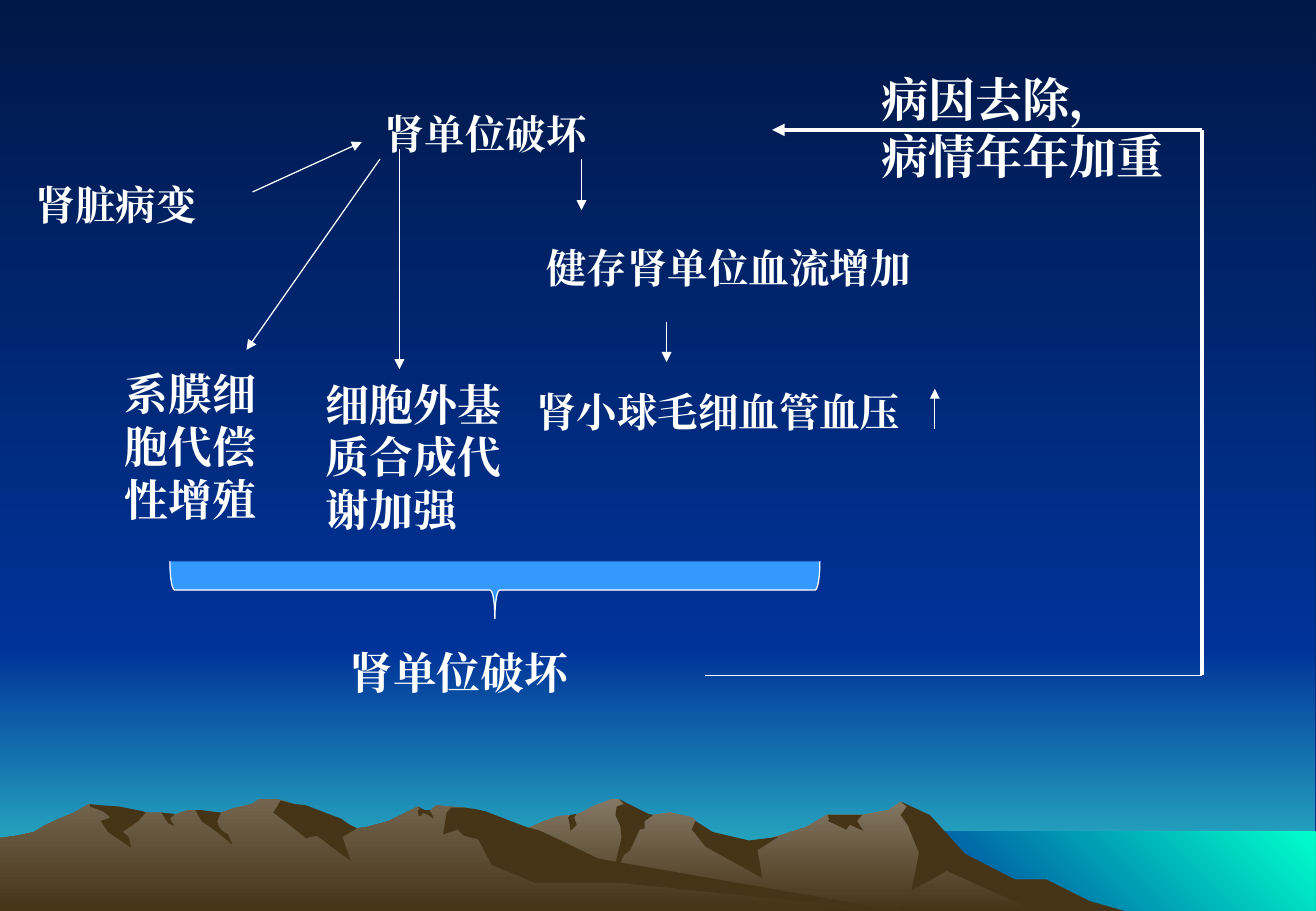
from lxml.etree import SubElement
from pptx import Presentation
from pptx.dml.color import RGBColor
from pptx.enum.shapes import MSO_CONNECTOR, MSO_SHAPE
from pptx.oxml.ns import qn
from pptx.util import Pt

WHITE = RGBColor(0xFF, 0xFF, 0xFF)
NIGHT = RGBColor(0x00, 0x18, 0x47)
BLUE = RGBColor(0x00, 0x33, 0x99)
TEAL = RGBColor(0x33, 0xCC, 0xCC)
AQUA = RGBColor(0x00, 0xFF, 0xCC)
BRACE_BLUE = RGBColor(0x33, 0x99, 0xFF)
DARK_ROCK = RGBColor(0x46, 0x34, 0x16)
LIGHT_ROCK = RGBColor(0x84, 0x78, 0x64)
MIDDLE_ROCK = RGBColor(0x73, 0x65, 0x4F)

FONT = "Times New Roman"
DOWNWARD = 270
TO_UPPER_RIGHT = 45
OUTLINE_UNIT = Pt(0.72)

PANELS = [
    (0, 384, 780, 156, (BLUE, TEAL), DOWNWARD),
    (0, 0, 780, 384, (NIGHT, BLUE), DOWNWARD),
    (533, 493, 247, 47, (BLUE, AQUA), TO_UPPER_RIGHT),
]

RIGHT_RIDGE = [
    (869, 740), (843, 727), (827, 723), (783, 698), (760, 671), (742, 660), (732, 667),
    (710, 671), (681, 671), (664, 681), (614, 697), (581, 690), (573, 676), (570, 673),
    (552, 669), (538, 671), (526, 673), (514, 661), (510, 658), (503, 658), (488, 664),
    (481, 668), (474, 671), (460, 672), (446, 677), (433, 683), (427, 685), (384, 698),
    (354, 709), (300, 739), (280, 751), (889, 751),
]
RIGHT_SHADOWS = [
    [(862, 724), (836, 724), (795, 703), (766, 671), (742, 660), (747, 664), (742, 671),
     (748, 680), (757, 702), (751, 733), (780, 717), (858, 752), (930, 751), (898, 742)],
    [(510, 658), (514, 662), (508, 664), (507, 671), (511, 680), (512, 690), (503, 727),
     (514, 704), (519, 700), (527, 683), (531, 682), (531, 676), (538, 671), (534, 670)],
    [(573, 676), (572, 678), (570, 683), (581, 697), (628, 723), (624, 700), (641, 689),
     (617, 692), (587, 685)],
    [(704, 671), (682, 671), (683, 675), (682, 676), (697, 683), (700, 679), (711, 684),
     (706, 676), (710, 671)],
    [(469, 677), (468, 673), (470, 671), (475, 670), (473, 673), (475, 679), (470, 684)],
]
LEFT_RIDGE = [
    (748, 751), (723, 748), (468, 712), (383, 665), (359, 663), (354, 668), (350, 668),
    (344, 664), (320, 676), (302, 681), (294, 682), (281, 676), (255, 681), (242, 663),
    (237, 660), (229, 658), (213, 658), (207, 662), (194, 665), (182, 669), (173, 671),
    (161, 667), (155, 667), (143, 671), (138, 671), (133, 669), (120, 669), (102, 671),
    (73, 662), (61, 669), (49, 674), (38, 679), (28, 685), (15, 688), (0, 690), (0, 751),
]
LEFT_SHADOWS = [
    [(229, 663), (225, 669), (237, 678), (252, 690), (261, 688), (289, 709), (282, 689),
     (294, 682), (288, 679), (281, 674), (265, 668), (252, 663), (243, 662), (231, 659)],
    [(400, 668), (391, 666), (383, 665), (372, 665), (368, 669), (365, 687), (377, 683),
     (382, 688), (394, 691), (405, 712), (441, 727), (512, 727), (748, 751), (740, 750),
     (493, 707), (462, 692), (445, 684), (434, 681), (418, 675)],
    [(344, 667), (346, 666), (344, 664), (350, 667), (354, 667), (357, 673), (357, 674),
     (353, 671), (348, 669), (348, 671), (345, 672)],
    [(166, 667), (174, 668), (182, 669), (179, 676), (180, 680), (183, 684), (188, 687),
     (191, 694), (191, 695), (179, 685), (166, 676), (161, 667)],
    [(144, 670), (140, 674), (143, 679), (143, 680), (139, 678), (136, 674), (133, 669)],
    [(118, 668), (120, 669), (114, 676), (101, 685), (106, 689), (108, 698), (89, 685),
     (83, 676), (91, 673), (85, 668), (74, 664), (74, 662), (83, 663), (98, 664)],
]

LABELS = [
    (67, 214, 103, 101, 26, True, "系膜细胞代偿性增殖"),
    (200, 379, 145, 39, 26, False, "肾单位破坏"),
    (13.7, 103, 110.4, 36, 24, False, "肾脏病变"),
    (221, 60.8, 163, 36, 24, True, "肾单位破坏"),
    (317, 140.7, 230.4, 36, 24, False, "健存肾单位血流增加"),
    (311, 225.6, 230.4, 36, 24, False, "肾小球毛细血管血压"),
    (186, 220, 125, 101, 26, True, "细胞外基质合成代谢加强"),
    (515.5, 38.4, 182.4, 75, 28, False, "病因去除，\n病情年年加重"),
]

THIN, THICK = 0.75, 2.5
FEEDBACK_X, FEEDBACK_TOP, FEEDBACK_BOTTOM = 712.8, 77, 400.3
LINES = [
    (395.3, 190.8, 395.3, 214.6, THIN, True),
    (149.8, 113.8, 214.6, 84.2, THIN, True),
    (344.9, 94.3, 344.9, 124.6, THIN, True),
    (225.4, 94.3, 146.2, 207.4, THIN, True),
    (554.4, 254.2, 554.4, 230.4, THIN, True),
    (236.9, 88.6, 236.9, 218.9, THIN, True),
    (FEEDBACK_X, FEEDBACK_BOTTOM, FEEDBACK_X, FEEDBACK_TOP, THICK, False),
    (FEEDBACK_X, FEEDBACK_TOP, 457.9, FEEDBACK_TOP, THICK, True),
    (418.3, FEEDBACK_BOTTOM, FEEDBACK_X, FEEDBACK_BOTTOM, THIN, False),
]


def fill_solid(shape, color):
    shape.fill.solid()
    shape.fill.fore_color.rgb = color


def fill_gradient(target, colors, angle):
    target.fill.gradient()
    target.fill.gradient_angle = angle
    for stop, color in zip(target.fill.gradient_stops, colors):
        stop.color.rgb = color


def add_panel(slide, left, top, width, height, colors, angle):
    panel = slide.shapes.add_shape(
        MSO_SHAPE.RECTANGLE, Pt(left), Pt(top), Pt(width), Pt(height))
    panel.shadow.inherit = False
    panel.line.fill.background()
    fill_gradient(panel, colors, angle)


def add_outline(slide, points):
    builder = slide.shapes.build_freeform(*points[0], scale=OUTLINE_UNIT)
    builder.add_line_segments(points[1:], close=True)
    shape = builder.convert_to_shape()
    shape.shadow.inherit = False
    shape.line.fill.background()
    return shape


def add_mountains(slide, ridge, light_color, shadows):
    fill_gradient(add_outline(slide, ridge), (light_color, DARK_ROCK), DOWNWARD)
    for points in shadows:
        fill_solid(add_outline(slide, points), DARK_ROCK)


def add_label(slide, left, top, width, height, size, wrap, text):
    label = slide.shapes.add_textbox(Pt(left), Pt(top), Pt(width), Pt(height))
    text_frame = label.text_frame
    text_frame.word_wrap = wrap
    text_frame.text = text
    for paragraph in text_frame.paragraphs:
        paragraph.line_spacing = Pt(size * 1.2)
        for run in paragraph.runs:
            run.font.size = Pt(size)
            run.font.bold = True
            run.font.color.rgb = WHITE
            run.font.name = FONT
            SubElement(run.font._element, qn("a:ea")).set("typeface", FONT)


def add_line(slide, start_x, start_y, end_x, end_y, weight, has_arrow):
    connector = slide.shapes.add_connector(
        MSO_CONNECTOR.STRAIGHT, Pt(start_x), Pt(start_y), Pt(end_x), Pt(end_y))
    connector.line.color.rgb = WHITE
    connector.line.width = Pt(weight)
    if has_arrow:
        SubElement(connector.line._get_or_add_ln(), qn("a:tailEnd")).set("type", "triangle")
    SubElement(connector._element.spPr, qn("a:effectLst"))


def add_brace(slide):
    brace = slide.shapes.add_shape(
        MSO_SHAPE.RIGHT_BRACE, Pt(276.5), Pt(157), Pt(34), Pt(385.5))
    brace.rotation = 90
    brace.shadow.inherit = False
    fill_solid(brace, BRACE_BLUE)
    brace.line.color.rgb = WHITE
    brace.line.width = Pt(THIN)


def main():
    presentation = Presentation()
    presentation.slide_width = Pt(780.48)
    presentation.slide_height = Pt(540)
    slide = presentation.slides.add_slide(presentation.slide_layouts[6])
    fill_gradient(slide.background, (NIGHT, BLUE), DOWNWARD)
    for panel in PANELS:
        add_panel(slide, *panel)
    add_mountains(slide, RIGHT_RIDGE, LIGHT_ROCK, RIGHT_SHADOWS)
    add_mountains(slide, LEFT_RIDGE, MIDDLE_ROCK, LEFT_SHADOWS)
    for label in LABELS:
        add_label(slide, *label)
    for line in LINES:
        add_line(slide, *line)
    add_brace(slide)
    presentation.save("out.pptx")


if __name__ == "__main__":
    main()
